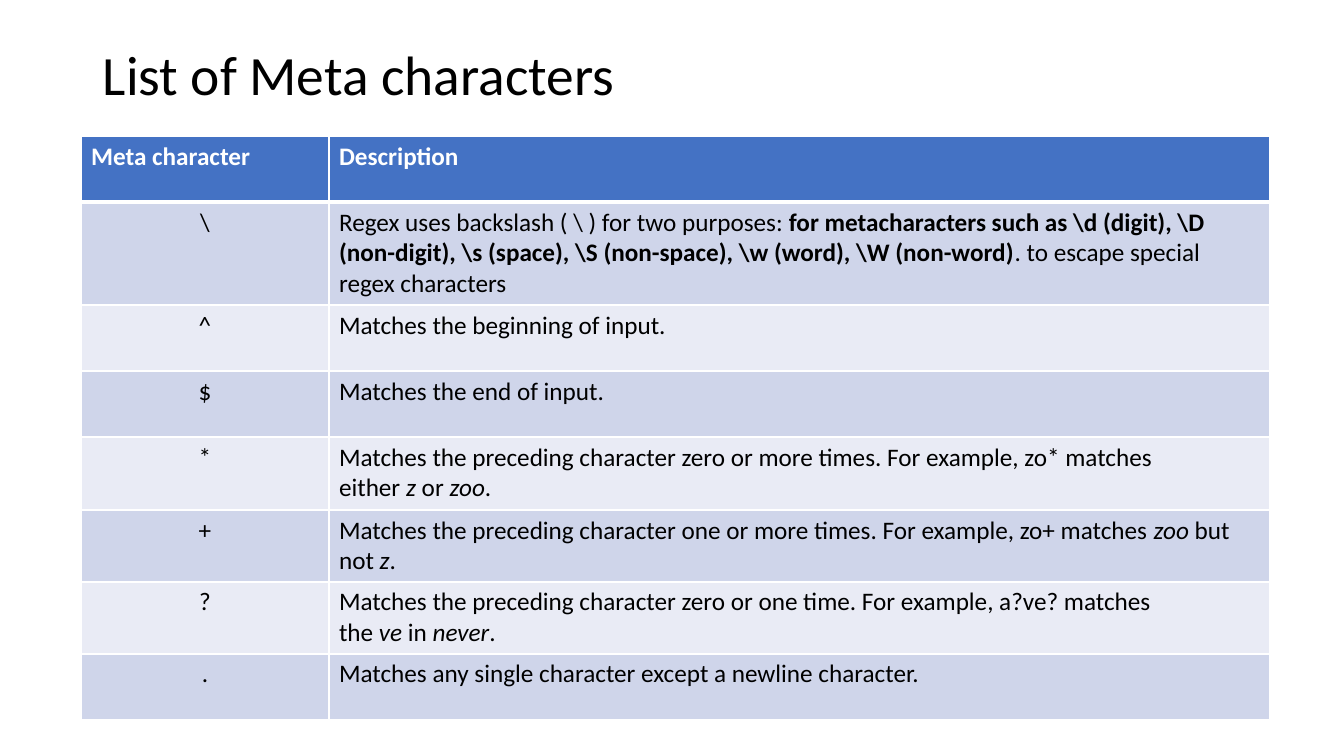
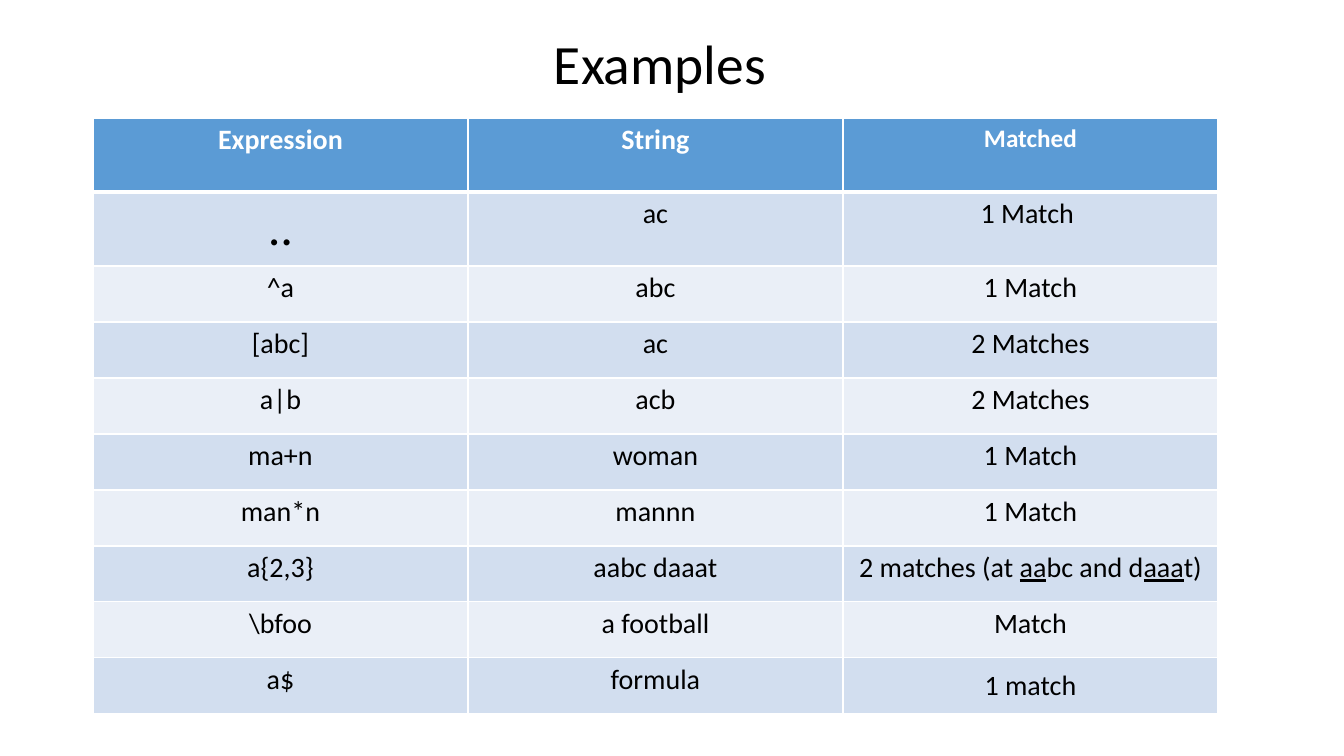
"""Two slides on regular expressions: a list of meta characters and examples."""
from lxml import etree
from pptx import Presentation, util as u
from pptx.dml.color import RGBColor
from pptx.enum import text
from pptx.oxml import ns

SCALE = 914400 / 100.8
FONT = "Calibri"
BLACK, WHITE = "000000", "FFFFFF"
LEFT, MID = text.PP_ALIGN.LEFT, text.PP_ALIGN.CENTER
BLUE = dict(head="4472C4", bands=("CFD5EA", "E9EBF5"), size=18)
SKY = dict(head="5B9BD5", bands=("D2DEEF", "EAEFF7"), size=20)
BOLD, SLANT, LINE = dict(bold=True), dict(italic=True), dict(underline=True)


def px(n):
    """Turn pixels into EMU."""
    return u.Emu(round(n * SCALE))


def rgb(code):
    """Turn a hex string into a colour."""
    return RGBColor.from_string(code)


def write(para, parts, align, size, color, **form):
    """Fill a paragraph with runs; a part is plain text or (text, format)."""
    para.alignment = align
    for part in [parts] if isinstance(parts, str) else parts:
        words, extra = (part, {}) if isinstance(part, str) else part
        run = para.add_run()
        run.text = words
        run.font.color.rgb = rgb(color)
        style = dict(name=FONT, size=u.Pt(size), **{**form, **extra})
        for key, val in style.items():
            setattr(run.font, key, val)


def title(slide, box, words, align):
    """Place the slide title in the given box."""
    frame = slide.shapes.add_textbox(*map(px, box)).text_frame
    frame.word_wrap = True
    frame.vertical_anchor = text.MSO_ANCHOR.MIDDLE
    para = frame.paragraphs[0]
    para.line_spacing = 0.9
    write(para, words, align, 39.6, BLACK)


def border(cell, base):
    """Draw white cell edges, with the bottom one as wide as base."""
    props = cell._tc.get_or_add_tcPr()
    for at, (side, wide) in enumerate(dict(L=1, R=1, T=1, B=base).items()):
        line = etree.Element(ns.qn("a:ln" + side), w=str(u.Pt(wide)))
        fill = etree.SubElement(line, ns.qn("a:solidFill"))
        etree.SubElement(fill, ns.qn("a:srgbClr"), val=WHITE)
        props.insert(at, line)


def table(slide, spot, cols, highs, rows, theme, aligns, sizes):
    """Build a banded table at spot; sizes holds the odd text sizes by cell."""
    grid = slide.shapes.add_table(
        len(rows), len(cols), *map(px, (*spot, sum(cols), sum(highs)))).table
    for col, wide in zip(grid.columns, cols):
        col.width = px(wide)
    for r, (row, high) in enumerate(zip(rows, highs)):
        grid.rows[r].height = px(high)
        top = r == 0
        for c, parts in enumerate(row):
            cell = grid.cell(r, c)
            cell.fill.solid()
            cell.fill.fore_color.rgb = rgb(
                theme["head"] if top else theme["bands"][(r - 1) % 2])
            border(cell, 3 if top else 1)
            write(cell.text_frame.paragraphs[0], parts,
                  aligns[0 if top else 1][c],
                  sizes.get((r, c), theme["size"]),
                  WHITE if top else BLACK, bold=top)
    return grid


def signs(slide):
    """Slide with the list of meta characters."""
    title(slide, (93, 40, 1159, 76), "List of Meta characters", LEFT)
    lead = "Matches the preceding character "
    rows = [
        ("Meta character", "Description"),
        ("\\", ["Regex uses backslash ( \\ ) for two purposes:\u00a0",
                ("for metacharacters such as \\d (digit), \\D (non-digit), "
                 "\\s (space), \\S (non-space), \\w (word), \\W (non-word)",
                 BOLD),
                ". to escape special regex characters"]),
        ("^", "Matches the beginning of input."),
        ("$", "Matches the end of input."),
        ("*", [lead + "zero or more times. For example,\u00a0zo*\u00a0"
               "matches either\u00a0", ("z", SLANT), "\u00a0or\u00a0",
               ("zoo", SLANT), "."]),
        ("+", [lead + "one or more times. For example,\u00a0zo+\u00a0"
               "matches\u00a0", ("zoo", SLANT), "\u00a0but not\u00a0",
               ("z", SLANT), "."]),
        ("?", [lead + "zero or one time. For example,\u00a0a?ve? "
               "matches the\u00a0", ("ve", SLANT), "\u00a0in\u00a0",
               ("never", SLANT), "."]),
        (".", "Matches any single character except a newline character."),
    ]
    table(slide, (81, 136), (248, 941), (66, 103, 66, 66, 73, 72, 72, 66),
          rows, BLUE, ((LEFT, LEFT), (MID, LEFT)), {})


def tests(slide):
    """Slide with example expressions and their matches."""
    title(slide, (93, 38, 1134, 58), "Examples", MID)
    rows = [
        ("Expression", "String", "Matched"),
        ("..", "ac", "1 Match "),
        ("^a", "abc", "1 Match"),
        ("[abc]", "ac", "2 Matches"),
        ("a|b", "acb", "2 Matches"),
        ("ma+n", "woman", "1 Match"),
        ("man*n", "mannn", "1 Match"),
        ("a{2,3}", "aabc daaat", ["2 matches (at ", ("aa", LINE), "bc and d",
                                  ("aaa", LINE), "t)"]),
        ("\\bfoo", "a football", "Match"),
        ("a$", "formula", "1 match"),
    ]
    grid = table(slide, (93, 118), [375] * 3, [74] * 2 + [56] * 8, rows, SKY,
                 [[MID] * 3] * 2, {(0, 2): 18, (1, 0): 36})
    last = dict(vertical_anchor=text.MSO_ANCHOR.MIDDLE,
                margin_left=px(17), margin_right=px(17),
                margin_top=px(8), margin_bottom=px(8))
    for key, val in last.items():
        setattr(grid.cell(9, 2), key, val)


deck = Presentation()
deck.slide_width, deck.slide_height = px(1344), px(756)
for build in (signs, tests):
    build(deck.slides.add_slide(deck.slide_layouts[6]))
deck.save("out.pptx")
